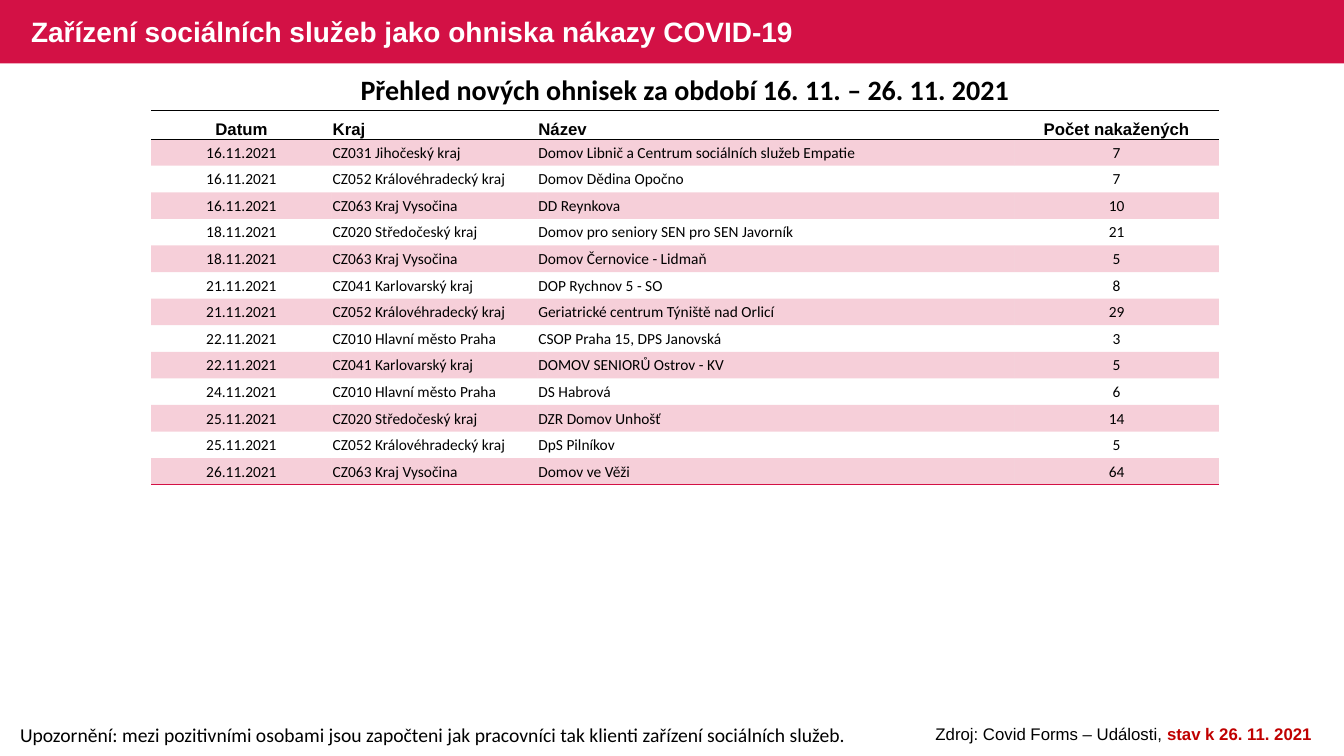
from dataclasses import dataclass

from lxml import etree
from pptx import Presentation
from pptx.dml.color import RGBColor
from pptx.enum.shapes import MSO_SHAPE
from pptx.enum.text import MSO_ANCHOR, MSO_AUTO_SIZE, PP_ALIGN
from pptx.oxml.ns import qn
from pptx.util import Inches, Pt

LEFT, CENTER = PP_ALIGN.LEFT, PP_ALIGN.CENTER
TOP, MIDDLE, BOTTOM = MSO_ANCHOR.TOP, MSO_ANCHOR.MIDDLE, MSO_ANCHOR.BOTTOM
RECTANGLE = MSO_SHAPE.RECTANGLE
GROW, FIXED = MSO_AUTO_SIZE.SHAPE_TO_FIT_TEXT, MSO_AUTO_SIZE.NONE

CRIMSON = RGBColor(0xD3, 0x11, 0x45)
DARK_RED = RGBColor(0xC0, 0x00, 0x00)
BLACK = RGBColor(0x00, 0x00, 0x00)
WHITE = RGBColor(0xFF, 0xFF, 0xFF)

PLAIN_TABLE_STYLE = "{2D5ABB26-0587-4C30-8999-92F81FD0307C}"
TABLE_HEIGHT, HEADER_HEIGHT = 3.71, 0.28


@dataclass(frozen=True)
class Run:
    text: str
    size: int
    font: str
    color: RGBColor = BLACK
    bold: bool = False


@dataclass(frozen=True)
class Label:
    box: tuple[float, float, float, float]
    runs: tuple[Run, ...]
    align: PP_ALIGN = LEFT
    anchor: MSO_ANCHOR = TOP
    autosize: MSO_AUTO_SIZE = GROW
    line_spacing: float = 1.0


@dataclass(frozen=True)
class Column:
    heading: str
    width: float
    align: PP_ALIGN


@dataclass(frozen=True)
class Outbreak:
    date: str
    region: str
    facility: str
    infected: int

    def values(self) -> tuple[str, ...]:
        return self.date, self.region, self.facility, str(self.infected)


LABELS = (
    Label((0.1, 7.12, 8.52, 0.34), (
        Run("Upozornění: mezi pozitivními osobami jsou započteni jak pracovníci "
            "tak klienti zařízení sociálních služeb.", 14, "Calibri"),)),
    Label((0.53, 0.67, 12.53, 0.44), (
        Run("Přehled nových ohnisek za období 16. 11. – 26. 11. 2021",
            20, "Calibri", bold=True),), CENTER),
    Label((0.21, 0.02, 8.13, 0.63), (
        Run("Zařízení sociálních služeb jako ohniska nákazy COVID-19",
            20, "Arial", WHITE, True),), LEFT, MIDDLE, FIXED, 0.9),
    Label((9.06, 7.13, 4.17, 0.3), (
        Run("Zdroj: Covid Forms – Události, ", 12, "Arial"),
        Run("stav k 26. 11. 2021", 12, "Arial", DARK_RED, True)), CENTER),
)

COLUMNS = (
    Column("Datum", 1.79, CENTER),
    Column("Kraj", 2.04, LEFT),
    Column("Název", 4.73, LEFT),
    Column("Počet nakažených", 2.03, CENTER),
)

PRAHA = "CZ010 Hlavní město Praha"
STREDOCESKY = "CZ020 Středočeský kraj"
JIHOCESKY = "CZ031 Jihočeský kraj"
KARLOVARSKY = "CZ041 Karlovarský kraj"
KRALOVEHRADECKY = "CZ052 Královéhradecký kraj"
VYSOCINA = "CZ063 Kraj Vysočina"

OUTBREAKS = (
    Outbreak("16.11.2021", JIHOCESKY,
             "Domov Libnič a Centrum sociálních služeb Empatie", 7),
    Outbreak("16.11.2021", KRALOVEHRADECKY, "Domov Dědina Opočno", 7),
    Outbreak("16.11.2021", VYSOCINA, "DD Reynkova", 10),
    Outbreak("18.11.2021", STREDOCESKY, "Domov pro seniory SEN pro SEN Javorník", 21),
    Outbreak("18.11.2021", VYSOCINA, "Domov Černovice - Lidmaň", 5),
    Outbreak("21.11.2021", KARLOVARSKY, "DOP Rychnov 5 - SO", 8),
    Outbreak("21.11.2021", KRALOVEHRADECKY, "Geriatrické centrum Týniště nad Orlicí", 29),
    Outbreak("22.11.2021", PRAHA, "CSOP Praha 15, DPS Janovská", 3),
    Outbreak("22.11.2021", KARLOVARSKY, "DOMOV SENIORŮ Ostrov - KV", 5),
    Outbreak("24.11.2021", PRAHA, "DS Habrová", 6),
    Outbreak("25.11.2021", STREDOCESKY, "DZR Domov Unhošť", 14),
    Outbreak("25.11.2021", KRALOVEHRADECKY, "DpS Pilníkov", 5),
    Outbreak("26.11.2021", VYSOCINA, "Domov ve Věži", 64),
)


def add_run(paragraph, content: Run) -> None:
    run = paragraph.add_run()
    run.text = content.text
    run.font.size = Pt(content.size)
    run.font.name = content.font
    run.font.bold = content.bold
    run.font.color.rgb = content.color


def add_label(slide, label: Label) -> None:
    frame = slide.shapes.add_textbox(*map(Inches, label.box)).text_frame
    frame.word_wrap = True
    frame.auto_size = label.autosize
    frame.vertical_anchor = label.anchor
    paragraph = frame.paragraphs[0]
    paragraph.alignment = label.align
    paragraph.line_spacing = label.line_spacing
    for content in label.runs:
        add_run(paragraph, content)


def add_header_band(slide) -> None:
    band = slide.shapes.add_shape(RECTANGLE, 0, 0, Inches(13.33), Inches(0.63))
    band.shadow.inherit = False
    band.fill.solid()
    band.fill.fore_color.rgb = CRIMSON
    band.line.fill.background()


def fill_cell(cell, content: Run, align: PP_ALIGN, anchor: MSO_ANCHOR, top: float) -> None:
    cell.margin_left = cell.margin_right = Inches(0.01)
    cell.margin_top, cell.margin_bottom = Inches(top), 0
    cell.vertical_anchor = anchor
    paragraph = cell.text_frame.paragraphs[0]
    paragraph.alignment = align
    add_run(paragraph, content)


def shade_cell(cell, shaded: bool) -> None:
    if not shaded:
        cell.fill.background()
        return
    cell.fill.solid()
    cell.fill.fore_color.rgb = CRIMSON
    color = cell._tc.tcPr.find(f".//{qn('a:srgbClr')}")
    etree.SubElement(color, qn("a:alpha"), val="20000")


def rule_cell(cell, color: RGBColor, sides: tuple[str, ...]) -> None:
    # Border elements come before the fill
    for index, side in enumerate(sides):
        line = etree.Element(qn(f"a:ln{side}"), w=str(Pt(1)))
        solid = etree.SubElement(line, qn("a:solidFill"))
        etree.SubElement(solid, qn("a:srgbClr"), val=str(color))
        cell._tc.tcPr.insert(index, line)


def add_outbreak_table(slide) -> None:
    width = sum(column.width for column in COLUMNS)
    frame = slide.shapes.add_table(len(OUTBREAKS) + 1, len(COLUMNS), Inches(1.5),
                                   Inches(1.1), Inches(width), Inches(TABLE_HEIGHT))
    table = frame.table
    table.horz_banding = False
    table._tbl.tblPr.find(qn("a:tableStyleId")).text = PLAIN_TABLE_STYLE

    # Row heights
    row_height = (TABLE_HEIGHT - HEADER_HEIGHT) / len(OUTBREAKS)
    for index, row in enumerate(table.rows):
        row.height = Inches(row_height if index else HEADER_HEIGHT)

    for col, column in enumerate(COLUMNS):
        table.columns[col].width = Inches(column.width)

        # Heading
        heading = table.cell(0, col)
        fill_cell(heading, Run(column.heading, 12, "Arial", bold=True),
                  column.align, BOTTOM, 0)
        shade_cell(heading, False)
        rule_cell(heading, BLACK, ("T", "B"))

        # Outbreaks, every other row shaded
        for row, outbreak in enumerate(OUTBREAKS, start=1):
            cell = table.cell(row, col)
            fill_cell(cell, Run(outbreak.values()[col], 11, "Calibri"),
                      column.align, MIDDLE, 0.01)
            shade_cell(cell, row % 2 == 1)
        rule_cell(table.cell(len(OUTBREAKS), col), CRIMSON, ("B",))


def main() -> None:
    deck = Presentation()
    deck.slide_width, deck.slide_height = Inches(13.33), Inches(7.5)
    slide = deck.slides.add_slide(deck.slide_layouts[6])
    add_header_band(slide)
    for label in LABELS:
        add_label(slide, label)
    add_outbreak_table(slide)
    deck.save("out.pptx")


if __name__ == "__main__":
    main()
